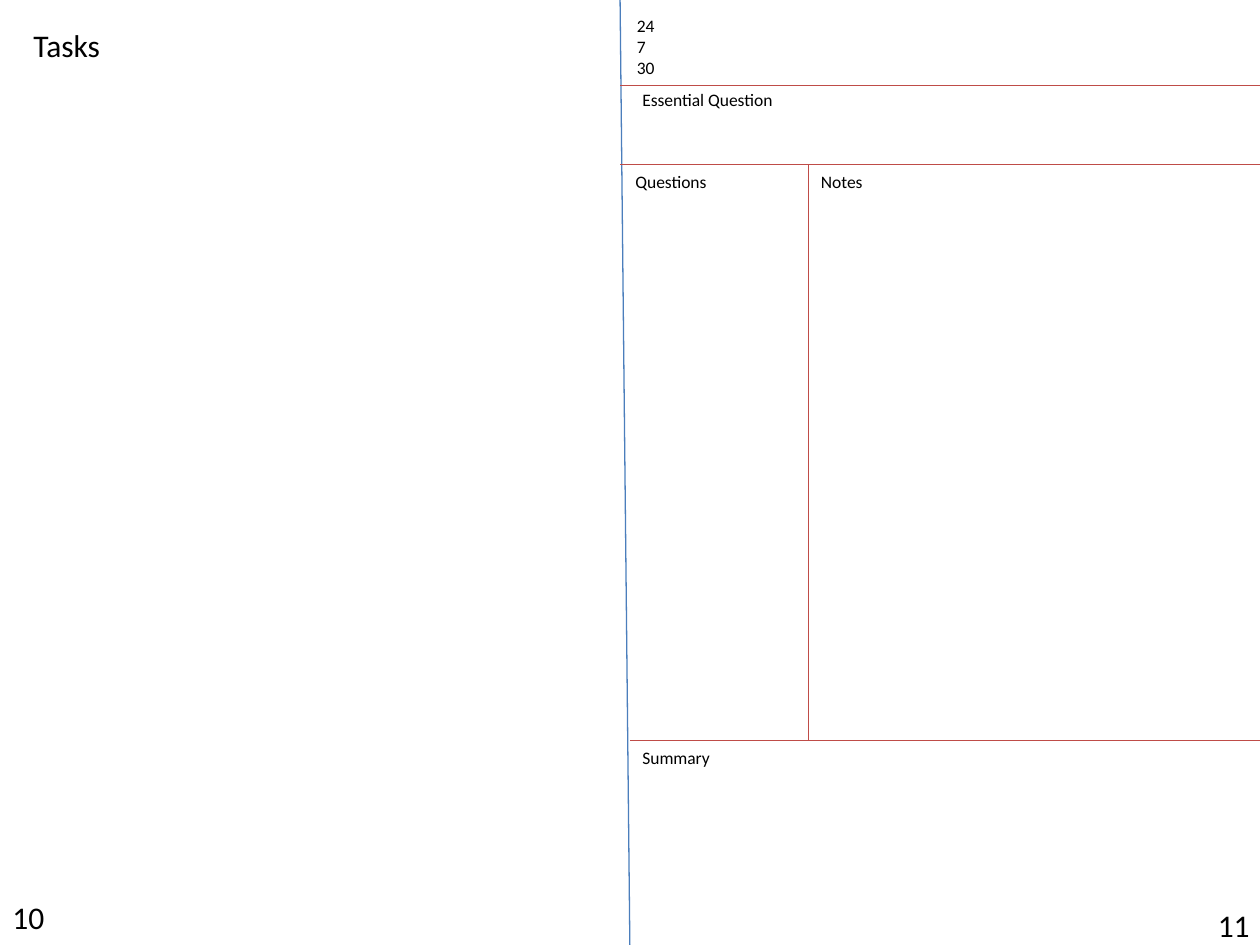
from lxml import etree
from pptx import Presentation
from pptx.dml.color import RGBColor
from pptx.enum.shapes import MSO_CONNECTOR
from pptx.enum.text import MSO_ANCHOR, MSO_AUTO_SIZE, PP_ALIGN
from pptx.oxml.ns import qn
from pptx.util import Cm, Pt

STRAIGHT = MSO_CONNECTOR.STRAIGHT
TOP = MSO_ANCHOR.TOP
FIT_SHAPE = MSO_AUTO_SIZE.SHAPE_TO_FIT_TEXT
LEFT = PP_ALIGN.LEFT
BLUE = RGBColor(0x4B, 0x7E, 0xBC)
RED = RGBColor(0xBF, 0x4C, 0x48)
BLACK = RGBColor(0, 0, 0)

SLIDE_WIDTH, SLIDE_HEIGHT = 25.4, 19.05
FOLD_TOP, FOLD_BOTTOM = 12.5, 12.7
HEADER_BOTTOM, QUESTION_BOTTOM, NOTES_BOTTOM = 1.73, 3.32, 14.93
NOTES_LEFT = 16.3


def fill_text(shape, text, size, wrap):
    text_frame = shape.text_frame
    text_frame.text = text
    text_frame.word_wrap = wrap
    text_frame.auto_size = FIT_SHAPE
    text_frame.vertical_anchor = TOP
    for paragraph in text_frame.paragraphs:
        paragraph.alignment = LEFT
        for run in paragraph.runs:
            run.font.name = "Calibri"
            run.font.size = Pt(size)
            run.font.color.rgb = BLACK


presentation = Presentation()
presentation.slide_width = Cm(SLIDE_WIDTH)
presentation.slide_height = Cm(SLIDE_HEIGHT)
slide = presentation.slides.add_slide(presentation.slide_layouts[5])

title = slide.shapes.title
title.left, title.top, title.width, title.height = Cm(0.42), Cm(0.4), Cm(2.1), Cm(1.02)
fill_text(title, "Tasks", 18, True)

lines = [
    (FOLD_TOP, 0, FOLD_BOTTOM, 19.33, BLUE),
    (FOLD_TOP, HEADER_BOTTOM, SLIDE_WIDTH, HEADER_BOTTOM, RED),
    (FOLD_TOP, QUESTION_BOTTOM, SLIDE_WIDTH, QUESTION_BOTTOM, RED),
    (FOLD_BOTTOM, NOTES_BOTTOM, 25.83, NOTES_BOTTOM, RED),
    (NOTES_LEFT, QUESTION_BOTTOM, NOTES_LEFT, NOTES_BOTTOM, RED),
]
for start_x, start_y, end_x, end_y, color in lines:
    connector = slide.shapes.add_connector(
        STRAIGHT, Cm(start_x), Cm(start_y), Cm(end_x), Cm(end_y)
    )
    connector.line.color.rgb = color
    connector.line.width = Pt(0.75)
    etree.SubElement(connector._element.spPr, qn("a:effectLst"))

labels = [
    ("10", 0, 17.98, 1.17, 1.02, 18, False),
    ("11", 24.3, 18.13, 1.52, 1.02, 18, True),
    ("24\n7\n30", 12.59, 0.18, 1.19, 1.55, 10, True),
    ("Essential Question", FOLD_BOTTOM, 1.67, 3.18, 0.69, 10, False),
    ("Notes", NOTES_LEFT, QUESTION_BOTTOM, 1.37, 0.69, 10, False),
    ("Questions", 12.56, QUESTION_BOTTOM, 1.98, 0.69, 10, False),
    ("Summary", FOLD_BOTTOM, NOTES_BOTTOM, 1.88, 0.69, 10, False),
]
for text, left, top, width, height, size, wrap in labels:
    label = slide.shapes.add_textbox(Cm(left), Cm(top), Cm(width), Cm(height))
    fill_text(label, text, size, wrap)

presentation.save("out.pptx")
